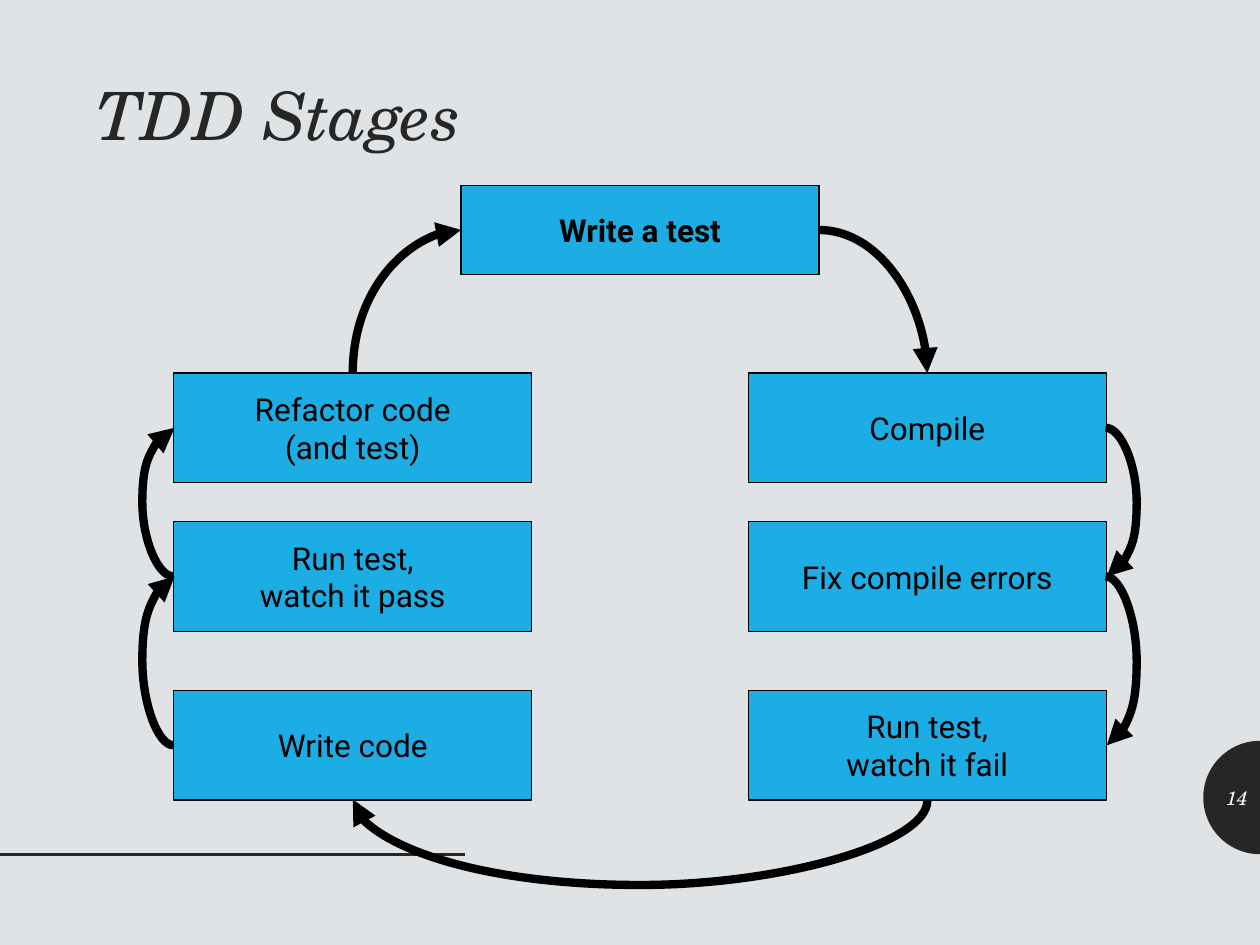
from math import cos, pi, sin

from lxml.etree import SubElement
from pptx import Presentation
from pptx.dml.color import RGBColor
from pptx.enum.shapes import MSO_CONNECTOR, MSO_SHAPE
from pptx.enum.text import MSO_ANCHOR, MSO_AUTO_SIZE, PP_ALIGN
from pptx.oxml.ns import qn
from pptx.util import Inches, Pt

BACKGROUND = RGBColor(0xDF, 0xE3, 0xE5)
DARK = RGBColor(0x26, 0x26, 0x26)
BLUE = RGBColor(0x1C, 0xAD, 0xE4)
BLACK = RGBColor(0, 0, 0)
WHITE = RGBColor(0xFF, 0xFF, 0xFF)
SERIF, SANS = "TeX Gyre Schola", "Roboto"

# Stages in cycle order: text, left, top, height
BOX_W = 2.84
LEFT, MIDDLE, RIGHT = 1.38, 3.66, 5.94
ROW_1, ROW_2, ROW_3 = 2.96, 4.14, 5.48
STAGES = [
    ("Write a test", MIDDLE, 1.47, 0.71),
    ("Compile", RIGHT, ROW_1, 0.87),
    ("Fix compile errors", RIGHT, ROW_2, 0.87),
    ("Run test,\nwatch it fail", RIGHT, ROW_3, 0.87),
    ("Write code", LEFT, ROW_3, 0.87),
    ("Run test,\nwatch it pass", LEFT, ROW_2, 0.87),
    ("Refactor code\n(and test)", LEFT, ROW_1, 0.87),
]

# Arrow from each stage to the next: start side, end side, bulge
TOP, WEST, BOTTOM, EAST = range(4)
SIDE_BULGE, BOTTOM_BULGE = 0.25, 0.68
ARROWS = [
    (EAST, TOP, 0),
    (EAST, EAST, SIDE_BULGE),
    (EAST, EAST, SIDE_BULGE),
    (BOTTOM, BOTTOM, BOTTOM_BULGE),
    (WEST, WEST, SIDE_BULGE),
    (WEST, WEST, SIDE_BULGE),
    (TOP, WEST, 0),
]
# Start side: rotation, flip, sign of the bulge
TURNS = {EAST: (0, None, 1), BOTTOM: (270, "flipV", -1),
         WEST: (180, "flipH", -1), TOP: (270, None, 1)}
THIN = 0.01  # depth of a connector whose ends are level


def write(tf, text, size=18, font=SANS, color=BLACK, bold=False, italic=False,
          align=PP_ALIGN.CENTER, anchor=MSO_ANCHOR.MIDDLE, wrap=True, spacing=None):
    tf.word_wrap = wrap
    tf.auto_size = MSO_AUTO_SIZE.NONE
    tf.vertical_anchor = anchor
    p = tf.paragraphs[0]
    p.text = text
    p.alignment = align
    p.line_spacing = spacing
    for r in p.runs:
        r.font.name, r.font.size = font, Pt(size)
        r.font.bold, r.font.italic = bold, italic
        r.font.color.rgb = color


def add_line(s, kind, start, end, color, width):
    line = s.shapes.add_connector(kind, *map(Inches, (*start, *end)))
    line.line.color.rgb = color
    line.line.width = Pt(width)
    SubElement(line._element.spPr, qn("a:effectLst"))
    return line


def site(stage, side):
    _, x, y, h = stage
    return {TOP: (x + BOX_W / 2, y), WEST: (x, y + h / 2),
            BOTTOM: (x + BOX_W / 2, y + h), EAST: (x + BOX_W, y + h / 2)}[side]


def add_arrow(s, i, boxes):
    j = (i + 1) % len(STAGES)
    out, into, bulge = ARROWS[i]
    (x1, y1), (x2, y2) = site(STAGES[i], out), site(STAGES[j], into)
    arrow = add_line(s, MSO_CONNECTOR.CURVE, (x1, y1), (x2, y2), BLACK, 4.75)
    arrow.begin_connect(boxes[i], out)
    arrow.end_connect(boxes[j], into)

    # Frame around the middle of the two ends, before rotation
    rotation, flip, sign = TURNS[out]
    w, h = abs(x2 - x1), abs(y2 - y1)
    if rotation == 270:
        w, h = h, w
    w = max(w, THIN)
    arrow.left, arrow.top = Inches((x1 + x2 - w) / 2), Inches((y1 + y2 - h) / 2)
    arrow.width, arrow.height = Inches(w), Inches(h)
    spPr = arrow._element.spPr
    xfrm = spPr.find(qn("a:xfrm"))
    for name in ("flipH", "flipV"):
        xfrm.set(name, "1" if name == flip else "0")
    xfrm.set("rot", str(rotation * 60000))

    # Curve shape and arrowhead
    geom = spPr.find(qn("a:prstGeom"))
    geom.set("prst", "curvedConnector3" if bulge else "curvedConnector2")
    if bulge:
        guides = geom.find(qn("a:avLst"))
        if guides is None:
            guides = SubElement(geom, qn("a:avLst"))
        value = round(sign * bulge / THIN * 100000)
        SubElement(guides, qn("a:gd"), name="adj1", fmla=f"val {value}")
    SubElement(arrow.line._get_or_add_ln(), qn("a:tailEnd"), type="triangle")


def main():
    prs = Presentation()
    prs.slide_width, prs.slide_height = Inches(10), Inches(7.5)
    s = prs.slides.add_slide(prs.slide_layouts[5])
    s.background.fill.solid()
    s.background.fill.fore_color.rgb = BACKGROUND

    # Half disc and rule
    cx, cy, radius, steps = 10, 6.33, 0.45, 48
    arc = [(Inches(cx - radius * sin(pi * k / steps)),
            Inches(cy - radius * cos(pi * k / steps))) for k in range(steps + 1)]
    builder = s.shapes.build_freeform(*arc[0])
    builder.add_line_segments(arc[1:], close=True)
    disc = builder.convert_to_shape()
    disc.shadow.inherit = False
    disc.fill.solid()
    disc.fill.fore_color.rgb = DARK
    disc.line.fill.background()
    add_line(s, MSO_CONNECTOR.STRAIGHT, (0, 6.78), (3.69, 6.78), DARK, 2)

    # Title and page number
    title = s.shapes.title
    title.left, title.top, title.width, title.height = map(Inches, (0.62, 0.61, 3.14, 5.42))
    write(title.text_frame, "TDD Stages", size=38, font=SERIF, color=DARK, italic=True,
          align=PP_ALIGN.RIGHT, anchor=MSO_ANCHOR.TOP, spacing=0.9)
    number = s.shapes.add_textbox(*map(Inches, (9.55, 6.13, 0.45, 0.4)))
    write(number.text_frame, "14", size=11, font=SERIF, color=WHITE, italic=True,
          align=PP_ALIGN.RIGHT)

    # Stage boxes
    boxes = []
    for i, (text, x, y, h) in enumerate(STAGES):
        sp = s.shapes.add_shape(MSO_SHAPE.RECTANGLE, *map(Inches, (x, y, BOX_W, h)))
        sp.shadow.inherit = False
        sp.fill.solid()
        sp.fill.fore_color.rgb = BLUE
        sp.line.color.rgb = BLACK
        sp.line.width = Pt(0.75)
        write(sp.text_frame, text, bold=i == 0, wrap=False)
        boxes.append(sp)

    # Arrows around the cycle
    for i in range(len(STAGES)):
        add_arrow(s, i, boxes)

    prs.save("out.pptx")


if __name__ == "__main__":
    main()
